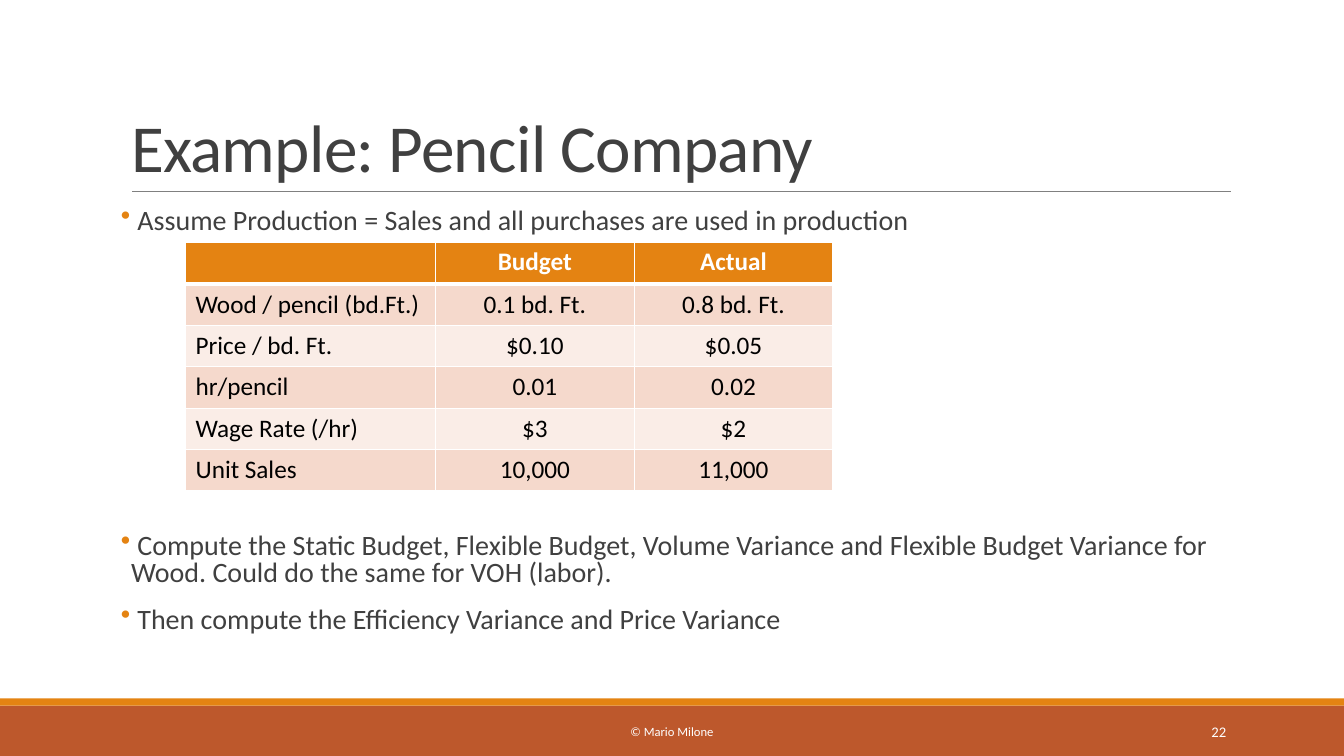
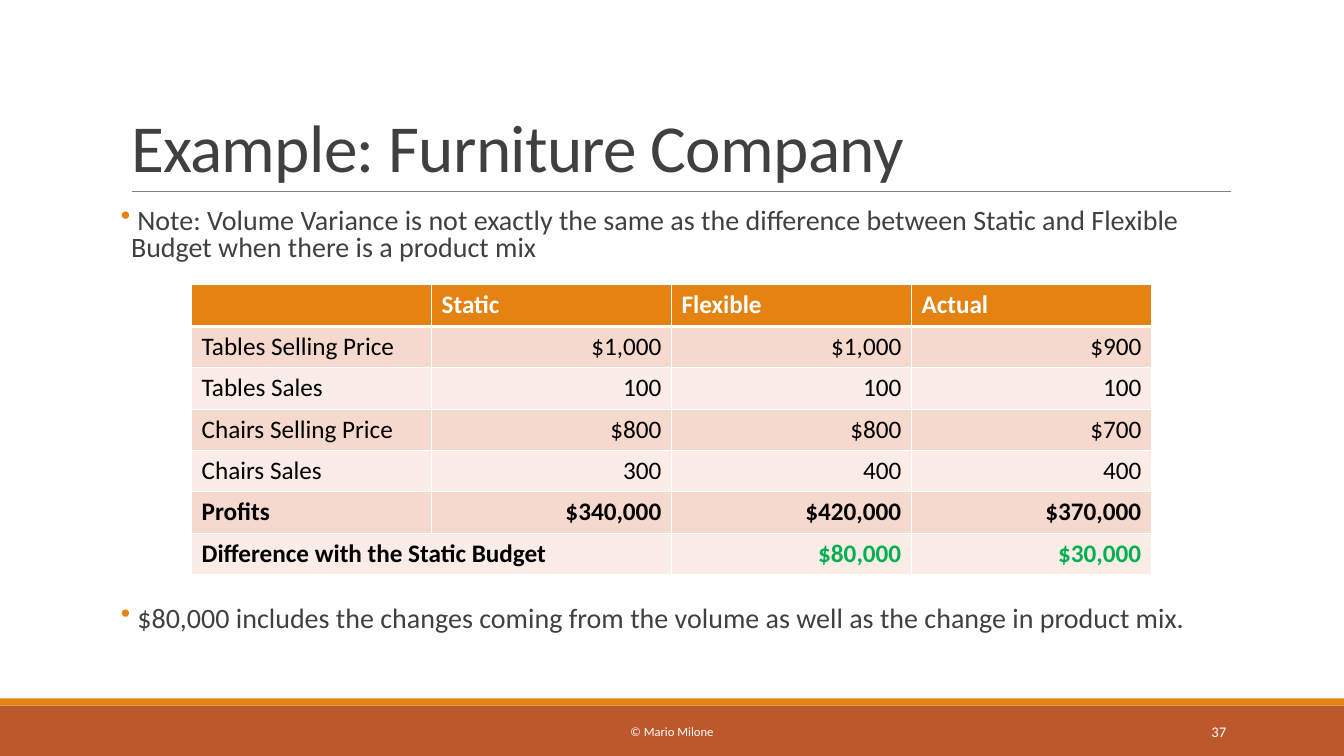
from dataclasses import dataclass

from lxml import etree
from pptx import Presentation
from pptx import util as u
from pptx.dml.color import RGBColor
from pptx.enum import shapes, text
from pptx.oxml import ns

Inches = u.Inches
LEFT, MID, RIGHT = text.PP_ALIGN.LEFT, text.PP_ALIGN.CENTER, text.PP_ALIGN.RIGHT
TOP, CENTER, LOW = (text.MSO_ANCHOR.TOP, text.MSO_ANCHOR.MIDDLE,
                    text.MSO_ANCHOR.BOTTOM)


@dataclass(frozen=True)
class Theme:
    font: str = "Calibri"
    ink: str = "404040"
    black: str = "000000"
    white: str = "FFFFFF"
    amber: str = "E48312"
    rust: str = "BD582C"
    rule: str = "808080"
    green: str = "00B050"
    odd: str = "F5D9CC"
    even: str = "FAEDE7"
    title: float = 48
    body: float = 20
    cell: float = 18
    foot: float = 9
    page: float = 10.5


@dataclass(frozen=True)
class Grid:
    left: float
    top: float
    cols: list[float]
    rows: list[list[str]]
    head: text.PP_ALIGN
    data: text.PP_ALIGN
    bold: int = 0      # number of bold rows at the end
    total: bool = False  # last row: joined label and green values


@dataclass(frozen=True)
class Note:
    top: float
    height: float
    lines: list[str]


@dataclass(frozen=True)
class Page:
    title: str
    number: str
    notes: list[Note]
    grid: Grid


T = Theme()
WIDTH, HEIGHT = 13.33, 7.5
HEAD, ROW = 0.42, 0.41


def rgb(color: str) -> RGBColor:
    return RGBColor.from_string(color)


def child(parent, tag: str, **attrs: str):
    return etree.SubElement(parent, ns.qn(tag), attrs)


def write(frame, *lines: str, size: float, color: str = T.ink,
          align=LEFT, bold: bool = False, lead: float = 1, track: int = 0,
          anchor=None, bullet: bool = False) -> None:
    """Fill a text frame, one paragraph for each line."""
    frame.word_wrap = True
    if anchor is not None:
        frame.vertical_anchor = anchor
    for i, line in enumerate(lines):
        para = frame.add_paragraph() if i else frame.paragraphs[0]
        para.alignment, para.line_spacing = align, lead
        if bullet:
            para.space_before, para.space_after = u.Pt(12), u.Pt(2)
            props = para._p.get_or_add_pPr()
            props.set("marL", str(Inches(0.1)))
            props.set("indent", str(Inches(-0.1)))
            child(child(props, "a:buClr"), "a:srgbClr", val=T.amber)
            child(props, "a:buChar", char="•")
        run = para.add_run()
        run.text = line
        font = run.font
        font.name, font.size, font.bold = T.font, u.Pt(size), bold
        font.color.rgb = rgb(color)
        if track:
            run._r.get_or_add_rPr().set("spc", str(track))


def box(slide, left: float, top: float, width: float, height: float):
    shape = slide.shapes.add_textbox(
        Inches(left), Inches(top), Inches(width), Inches(height))
    return shape.text_frame


def band(slide, top: float, height: float, color: str) -> None:
    shape = slide.shapes.add_shape(
        shapes.MSO_SHAPE.RECTANGLE, 0, Inches(top), Inches(WIDTH), Inches(height))
    shape.shadow.inherit = False
    shape.fill.solid()
    shape.fill.fore_color.rgb = rgb(color)
    shape.line.fill.background()


def frame(slide, page: Page) -> None:
    """Draw bands, title with its rule, and footer."""
    band(slide, 7, 0.5, T.rust)
    band(slide, 6.93, 0.07, T.amber)
    rule = slide.shapes.add_connector(
        shapes.MSO_CONNECTOR.STRAIGHT,
        Inches(1.31), Inches(1.9), Inches(12.21), Inches(1.9))
    rule.line.color.rgb, rule.line.width = rgb(T.rule), u.Pt(0.5)
    child(rule._element.spPr, "a:effectLst")

    title = slide.shapes.title
    title.left, title.top = Inches(1.2), Inches(0.31)
    title.width, title.height = Inches(11), Inches(1.59)
    title.text_frame.auto_size = text.MSO_AUTO_SIZE.NONE
    write(title.text_frame, page.title, size=T.title, lead=0.85,
          track=-50, anchor=LOW)

    write(box(slide, 4.03, 7.06, 5.27, 0.4), "© Mario Milone", size=T.foot,
          color=T.white, align=MID, anchor=CENTER)
    write(box(slide, 10.83, 7.06, 1.43, 0.4), page.number, size=T.page,
          color=T.white, align=RIGHT, anchor=CENTER)


def edge(cell, row: int) -> None:
    """Give a cell white borders, thick below the header."""
    props = cell._tc.get_or_add_tcPr()
    thick = {(0, "B"), (1, "T")}
    for side in "LRTB":
        width = u.Pt(3 if (row, side) in thick else 1)
        line = child(props, f"a:ln{side}", w=str(width))
        child(child(line, "a:solidFill"), "a:srgbClr", val=T.white)


def table(slide, grid: Grid) -> None:
    count, last = len(grid.rows), len(grid.rows) - 1
    shape = slide.shapes.add_table(
        count, len(grid.cols), Inches(grid.left), Inches(grid.top),
        Inches(sum(grid.cols)), Inches(HEAD + ROW * last))
    tab = shape.table
    for col, width in zip(tab.columns, grid.cols):
        col.width = Inches(width)
    for r, values in enumerate(grid.rows):
        tab.rows[r].height = Inches(ROW if r else HEAD)
        fill = (T.odd if r % 2 else T.even) if r else T.amber
        for c, value in enumerate(values):
            cell = tab.cell(r, c)
            edge(cell, r)
            cell.fill.solid()
            cell.fill.fore_color.rgb = rgb(fill)
            if not value:
                continue
            color = T.black if r else T.white
            if grid.total and r == last and c:
                color = T.green
            align = (grid.data if r else grid.head) if c else LEFT
            write(cell.text_frame, value, size=T.cell, color=color,
                  align=align, bold=r == 0 or r >= count - grid.bold)
    if grid.total:
        tab.cell(last, 0).merge(tab.cell(last, 1))


def build(deck, page: Page) -> None:
    slide = deck.slides.add_slide(deck.slide_layouts[5])
    frame(slide, page)
    for note in page.notes:
        area = box(slide, 1.2, note.top, 11, note.height)
        area.margin_left = area.margin_right = 0
        write(area, *note.lines, size=T.body, lead=0.8, bullet=True, anchor=TOP)
    table(slide, page.grid)


PAGES = [
    Page(
        "Example: Pencil Company", "22",
        [Note(2.02, 0.38, [
            " Assume Production = Sales and all purchases are used in production"]),
         Note(5.25, 1.17, [
             " Compute the Static Budget, Flexible Budget, Volume Variance and "
             "Flexible Budget Variance for Wood. Could do the same for VOH (labor).",
             " Then compute the Efficiency Variance and Price Variance"])],
        Grid(1.84, 2.4, [2.48, 1.97, 1.97], [
            ["", "Budget", "Actual"],
            ["Wood / pencil (bd.Ft.)", "0.1 bd. Ft.", "0.8 bd. Ft."],
            ["Price / bd. Ft.", "$0.10", "$0.05"],
            ["hr/pencil", "0.01", "0.02"],
            ["Wage Rate (/hr)", "$3", "$2"],
            ["Unit Sales", "10,000", "11,000"],
        ], head=MID, data=MID)),
    Page(
        "Example: Furniture Company", "37",
        [Note(2.02, 0.65, [
            " Note: Volume Variance is not exactly the same as the difference "
            "between Static and Flexible Budget when there is a product mix"]),
         Note(5.97, 0.45, [
             " $80,000 includes the changes coming from the volume as well as "
             "the change in product mix."])],
        Grid(1.9, 2.82, [2.38] * 4, [
            ["", "Static", "Flexible", "Actual"],
            ["Tables Selling Price", "$1,000", "$1,000", "$900"],
            ["Tables Sales", "100", "100", "100"],
            ["Chairs Selling Price", "$800", "$800", "$700"],
            ["Chairs Sales", "300", "400", "400"],
            ["Profits", "$340,000", "$420,000", "$370,000"],
            ["Difference with the Static Budget", "", "$80,000", "$30,000"],
        ], head=LEFT, data=RIGHT, bold=2, total=True)),
]


def main() -> None:
    deck = Presentation()
    deck.slide_width, deck.slide_height = Inches(WIDTH), Inches(HEIGHT)
    for page in PAGES:
        build(deck, page)
    deck.save("out.pptx")


if __name__ == "__main__":
    main()
